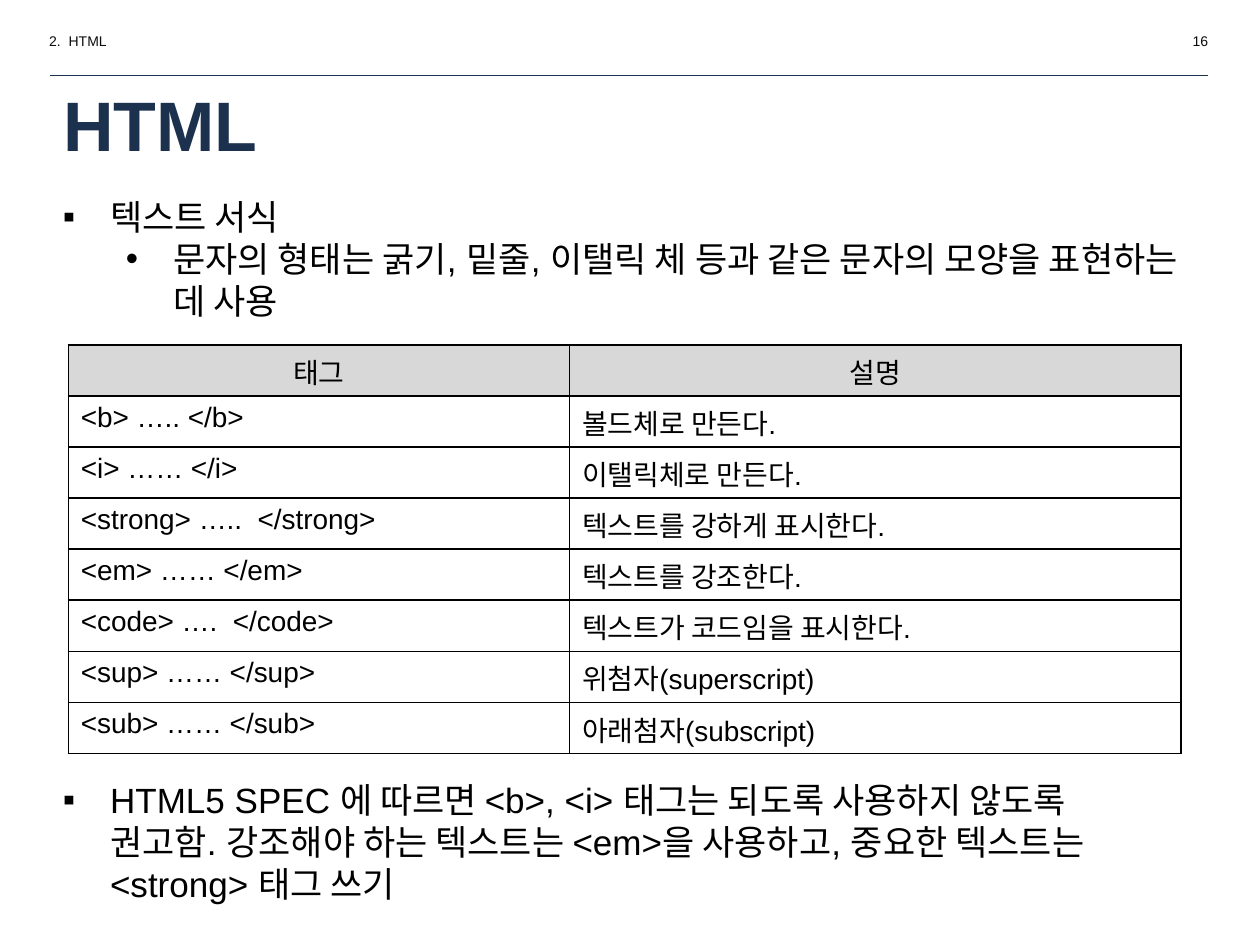
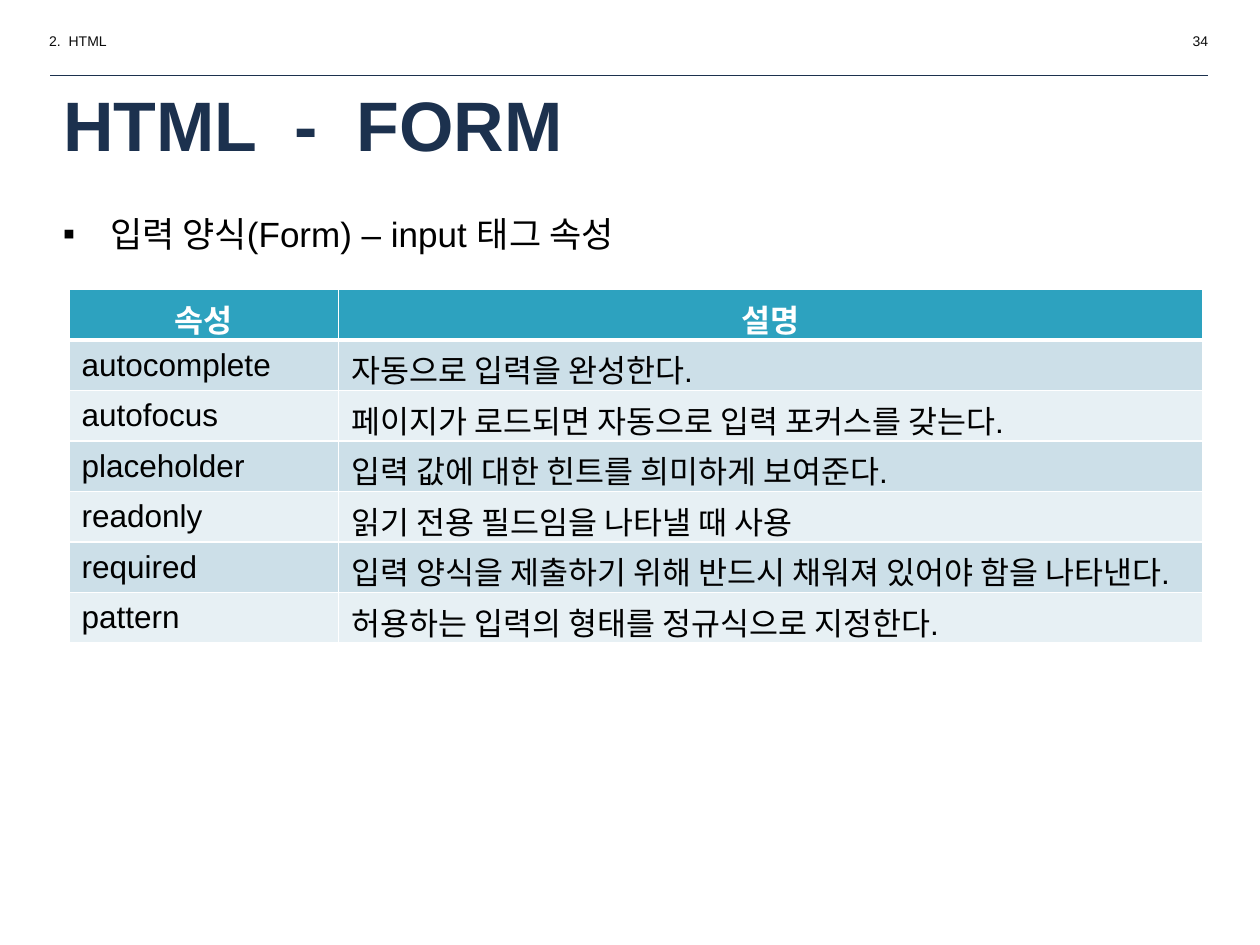
from dataclasses import dataclass

import pptx
import pptx.dml.color
import pptx.enum.shapes
import pptx.enum.text
import pptx.oxml
import pptx.oxml.ns
import pptx.util
from pptx.util import Pt

Alignment = pptx.enum.text.PP_ALIGN
Anchor = pptx.enum.text.MSO_ANCHOR


@dataclass(frozen=True)
class Theme:
    font: str = "Arial"
    navy: str = "1C314E"
    header_gray: str = "0C0C0C"
    black: str = "000000"
    white: str = "FFFFFF"
    silver: str = "D8D8D8"
    teal: str = "2DA2BF"
    band_dark: str = "CCDFE8"
    band_light: str = "E7F0F4"
    title_size: float = 40
    body_size: float = 20
    header_size: float = 8


THEME = Theme()


@dataclass(frozen=True)
class Box:
    left: float
    top: float
    width: float
    height: float

    def lengths(self) -> tuple:
        return Pt(self.left), Pt(self.top), Pt(self.width), Pt(self.height)


@dataclass(frozen=True)
class TextStyle:
    size: float
    color: str
    bold: bool = False
    alignment: Alignment = Alignment.LEFT


@dataclass(frozen=True)
class Bullet:
    text: str
    level: int = 0


@dataclass(frozen=True)
class BulletList:
    box: Box
    bullets: tuple[Bullet, ...]


@dataclass(frozen=True)
class TableStyle:
    header: TextStyle
    body: TextStyle
    header_fill: str
    band_fills: tuple[str | None, ...]
    border: str
    header_rule: float
    body_anchor: Anchor


@dataclass(frozen=True)
class TagTable:
    left: float
    top: float
    column_widths: tuple[float, ...]
    row_height: float
    rows: tuple[tuple[str, ...], ...]
    style: TableStyle


@dataclass(frozen=True)
class Page:
    number: int
    title: str
    lists: tuple[BulletList, ...]
    table: TagTable


TITLE_BOX = Box(28.8, 47.5, 659, 46)
CHAPTER_BOX = Box(21, 15, 124.5, 17)
NUMBER_BOX = Box(573, 15, 124.5, 17)
RULE_LEFT, RULE_RIGHT, RULE_TOP = 28.8, 690.5, 43
BULLET_INDENT = 27
LEVEL_STEP = 36
BULLET_MARKS = ("▪", "•")

TITLE_STYLE = TextStyle(THEME.title_size, THEME.navy, bold=True)
BODY_STYLE = TextStyle(THEME.body_size, THEME.black)
CHAPTER_STYLE = TextStyle(THEME.header_size, THEME.header_gray)
NUMBER_STYLE = TextStyle(THEME.header_size, THEME.header_gray, alignment=Alignment.RIGHT)

GRID_STYLE = TableStyle(
    header=TextStyle(16, THEME.black, alignment=Alignment.CENTER),
    body=TextStyle(16, THEME.black),
    header_fill=THEME.silver,
    band_fills=(None,),
    border=THEME.black,
    header_rule=1,
    body_anchor=Anchor.TOP,
)
BANDED_STYLE = TableStyle(
    header=TextStyle(18, THEME.white, bold=True, alignment=Alignment.CENTER),
    body=TextStyle(18, THEME.black),
    header_fill=THEME.teal,
    band_fills=(THEME.band_dark, THEME.band_light),
    border=THEME.white,
    header_rule=3,
    body_anchor=Anchor.MIDDLE,
)

PAGES = (
    Page(
        16,
        "HTML",
        (
            BulletList(
                Box(28.8, 108, 661.5, 80),
                (
                    Bullet("텍스트 서식"),
                    Bullet("문자의 형태는 굵기, 밑줄, 이탤릭 체 등과 같은 문자의 모양을 표현하는 데 사용", 1),
                ),
            ),
            BulletList(
                Box(28.8, 441.5, 646.5, 83),
                (
                    Bullet(
                        "HTML5 SPEC 에 따르면 <b>, <i> 태그는 되도록 사용하지 않도록 권고함. "
                        "강조해야 하는 텍스트는 <em>을 사용하고, 중요한 텍스트는 <strong> 태그 쓰기"
                    ),
                ),
            ),
        ),
        TagTable(
            39, 197, (286.5, 349.5), 29.2,
            (
                ("태그", "설명"),
                ("<b> ….. </b>", "볼드체로 만든다."),
                ("<i> …… </i>", "이탤릭체로 만든다."),
                ("<strong> …..  </strong>", "텍스트를 강하게 표시한다."),
                ("<em> …… </em>", "텍스트를 강조한다."),
                ("<code> ….  </code>", "텍스트가 코드임을 표시한다."),
                ("<sup> …… </sup>", "위첨자(superscript)"),
                ("<sub> …… </sub>", "아래첨자(subscript)"),
            ),
            GRID_STYLE,
        ),
    ),
    Page(
        34,
        "HTML  -  FORM",
        (BulletList(Box(28.8, 118, 659, 31.5), (Bullet("입력 양식(Form) – input 태그 속성"),)),),
        TagTable(
            39.5, 165.5, (154, 494), 26,
            (
                ("속성", "설명"),
                ("autocomplete", "자동으로 입력을 완성한다."),
                ("autofocus", "페이지가 로드되면 자동으로 입력 포커스를 갖는다."),
                ("placeholder", "입력 값에 대한 힌트를 희미하게 보여준다."),
                ("readonly", "읽기 전용 필드임을 나타낼 때 사용"),
                ("required", "입력 양식을 제출하기 위해 반드시 채워져 있어야 함을 나타낸다."),
                ("pattern", "허용하는 입력의 형태를 정규식으로 지정한다."),
            ),
            BANDED_STYLE,
        ),
    ),
)


def rgb(color: str) -> pptx.dml.color.RGBColor:
    return pptx.dml.color.RGBColor.from_string(color)


def drawing_element(xml: str):
    return pptx.oxml.parse_xml(xml.replace(">", f" {pptx.oxml.ns.nsdecls('a')}>", 1)
                               if "/>" not in xml.split(">")[0] + ">"
                               else xml.replace("/>", f" {pptx.oxml.ns.nsdecls('a')}/>", 1))


def write(paragraph, text: str, style: TextStyle) -> None:
    paragraph.alignment = style.alignment
    run = paragraph.add_run()
    run.text = text
    run.font.name = THEME.font
    run.font.size = Pt(style.size)
    run.font.bold = style.bold
    run.font.color.rgb = rgb(style.color)


def add_text_frame(slide, box: Box):
    frame = slide.shapes.add_textbox(*box.lengths()).text_frame
    frame.word_wrap = True
    return frame


def add_header(slide, page: Page) -> None:
    write(add_text_frame(slide, CHAPTER_BOX).paragraphs[0], "2.  HTML", CHAPTER_STYLE)
    write(add_text_frame(slide, NUMBER_BOX).paragraphs[0], str(page.number), NUMBER_STYLE)
    rule = slide.shapes.add_connector(
        pptx.enum.shapes.MSO_CONNECTOR.STRAIGHT,
        Pt(RULE_LEFT), Pt(RULE_TOP), Pt(RULE_RIGHT), Pt(RULE_TOP),
    )
    rule.line.color.rgb = rgb(THEME.navy)
    rule.line.width = Pt(0.75)
    rule._element.spPr.append(drawing_element("<a:effectLst/>"))


def set_title(slide, text: str) -> None:
    title = slide.shapes.title
    title.left, title.top, title.width, title.height = TITLE_BOX.lengths()
    frame = title.text_frame
    frame.auto_size = pptx.enum.text.MSO_AUTO_SIZE.NONE
    frame.vertical_anchor = Anchor.MIDDLE
    write(frame.paragraphs[0], text, TITLE_STYLE)


def set_bullet(paragraph, level: int) -> None:
    paragraph.level = level
    properties = paragraph._p.get_or_add_pPr()
    properties.set("marL", str(Pt(BULLET_INDENT + LEVEL_STEP * level)))
    properties.set("indent", str(-Pt(BULLET_INDENT)))
    for xml in (
        f'<a:buClr><a:srgbClr val="{THEME.black}"/></a:buClr>',
        f'<a:buFont typeface="{THEME.font}"/>',
        f'<a:buChar char="{BULLET_MARKS[level]}"/>',
    ):
        properties.append(drawing_element(xml))


def add_bullet_list(slide, bullet_list: BulletList) -> None:
    frame = add_text_frame(slide, bullet_list.box)
    for index, bullet in enumerate(bullet_list.bullets):
        paragraph = frame.add_paragraph() if index else frame.paragraphs[0]
        write(paragraph, bullet.text, BODY_STYLE)
        set_bullet(paragraph, bullet.level)


def set_borders(cell, color: str, top: float, bottom: float) -> None:
    properties = cell._tc.get_or_add_tcPr()
    widths = {"lnL": 1, "lnR": 1, "lnT": top, "lnB": bottom}
    for position, (side, width) in enumerate(widths.items()):
        border = drawing_element(
            f'<a:{side} w="{Pt(width)}"><a:solidFill><a:srgbClr val="{color}"/></a:solidFill></a:{side}>'
        )
        properties.insert(position, border)


def add_tag_table(slide, spec_table: TagTable) -> None:
    style, rows, widths = spec_table.style, spec_table.rows, spec_table.column_widths
    box = Box(spec_table.left, spec_table.top, sum(widths), spec_table.row_height * len(rows))
    table = slide.shapes.add_table(len(rows), len(widths), *box.lengths()).table
    table.first_row = table.horz_banding = False
    for column, width in zip(table.columns, widths):
        column.width = Pt(width)
    for row_index, texts in enumerate(rows):
        table.rows[row_index].height = Pt(spec_table.row_height)
        is_header = row_index == 0
        fill = style.header_fill if is_header else style.band_fills[(row_index - 1) % len(style.band_fills)]
        for column_index, text in enumerate(texts):
            cell = table.cell(row_index, column_index)
            cell.vertical_anchor = Anchor.TOP if is_header else style.body_anchor
            write(cell.text_frame.paragraphs[0], text, style.header if is_header else style.body)
            if fill:
                cell.fill.solid()
                cell.fill.fore_color.rgb = rgb(fill)
            else:
                cell.fill.background()
            set_borders(
                cell, style.border,
                top=style.header_rule if row_index == 1 else 1,
                bottom=style.header_rule if is_header else 1,
            )


def main() -> None:
    presentation = pptx.Presentation()
    presentation.slide_width, presentation.slide_height = Pt(720), Pt(540)
    title_only = presentation.slide_layouts.get_by_name("Title Only")
    for page in PAGES:
        slide = presentation.slides.add_slide(title_only)
        add_header(slide, page)
        set_title(slide, page.title)
        for bullet_list in page.lists:
            add_bullet_list(slide, bullet_list)
        add_tag_table(slide, page.table)
    presentation.save("out.pptx")


if __name__ == "__main__":
    main()
